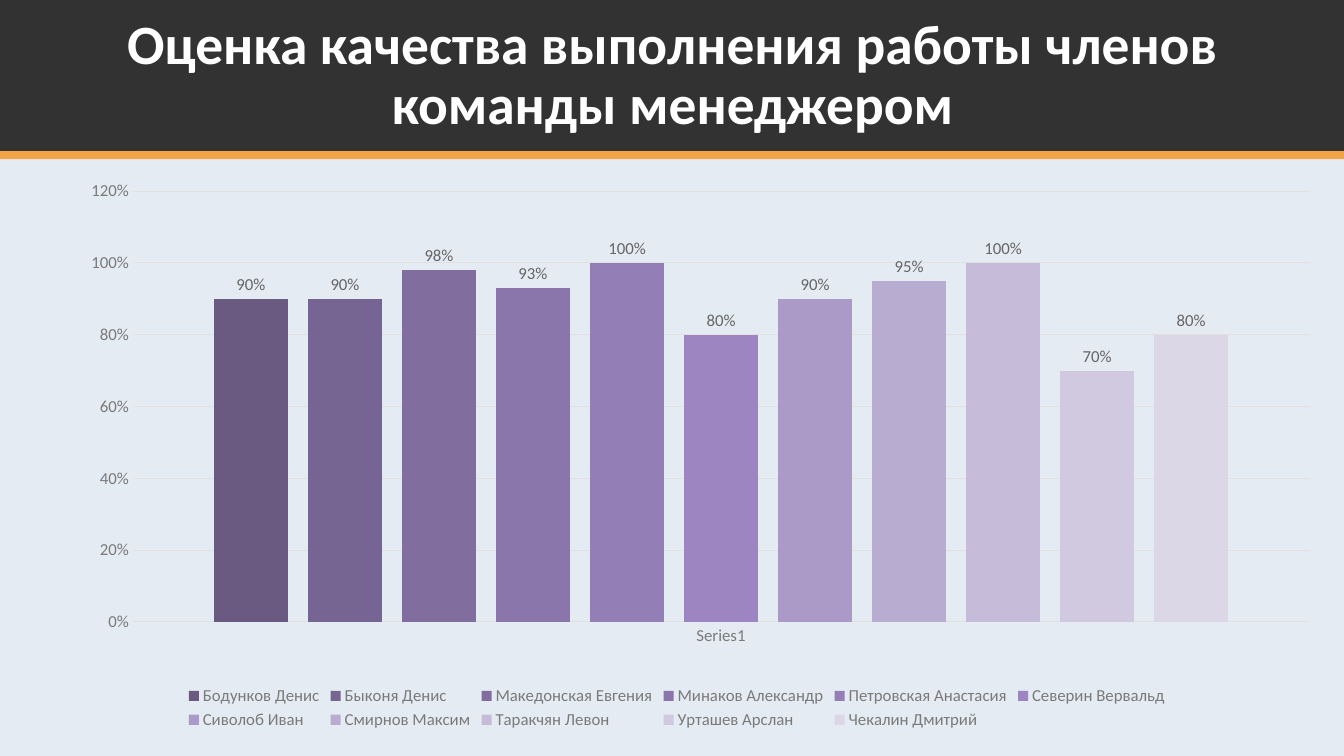
"""Build a slide charting the manager's assessment of team members' work quality."""
import pptx
import pptx.chart.data
import pptx.dml.color
import pptx.enum.chart
import pptx.enum.shapes
import pptx.enum.text
import pptx.oxml
import pptx.oxml.ns
import pptx.util

Inches = pptx.util.Inches
Pt = pptx.util.Pt
RGBColor = pptx.dml.color.RGBColor

FONT = "Calibri"
BACKGROUND = RGBColor(0xE5, 0xEB, 0xF2)
HEADER = RGBColor(0x32, 0x32, 0x32)
ACCENT = RGBColor(0xF3, 0xA4, 0x47)
WHITE = RGBColor(0xFF, 0xFF, 0xFF)
AXIS_TEXT = RGBColor(0x7A, 0x7A, 0x7A)
LABEL_TEXT = RGBColor(0x65, 0x65, 0x65)
GRID = RGBColor(0xE0, 0xE0, 0xE0)

TITLE = "Оценка качества выполнения работы членов команды менеджером"
SCORES = [
    ("Бодунков Денис", 0.9, RGBColor(0x6A, 0x5A, 0x82)),
    ("Быконя Денис", 0.9, RGBColor(0x76, 0x65, 0x92)),
    ("Македонская Евгения", 0.98, RGBColor(0x81, 0x6E, 0x9F)),
    ("Минаков Александр", 0.93, RGBColor(0x8A, 0x76, 0xAA)),
    ("Петровская Анастасия", 1, RGBColor(0x94, 0x7E, 0xB6)),
    ("Северин Вервальд", 0.8, RGBColor(0x9C, 0x85, 0xC0)),
    ("Сиволоб Иван", 0.9, RGBColor(0xAB, 0x99, 0xC8)),
    ("Смирнов Максим", 0.95, RGBColor(0xB9, 0xAC, 0xD1)),
    ("Таракчян Левон", 1, RGBColor(0xC6, 0xBC, 0xD9)),
    ("Урташев Арслан", 0.7, RGBColor(0xD1, 0xC9, 0xE0)),
    ("Чекалин Дмитрий", 0.8, RGBColor(0xDC, 0xD7, 0xE7)),
]


def style_font(font, size, color, bold=False):
    """Apply the slide's typeface with a size, colour and weight."""
    font.name = FONT
    font.size = Pt(size)
    font.bold = bold
    font.color.rgb = color


def add_band(slide, top, height, color):
    """Add a full-width band."""
    band = slide.shapes.add_shape(
        pptx.enum.shapes.MSO_SHAPE.RECTANGLE,
        Inches(0), Inches(top), Inches(13.33), Inches(height))
    band.shadow.inherit = False
    band.fill.solid()
    band.fill.fore_color.rgb = color
    band.line.fill.background()


def place_title(slide):
    """Fill the title placeholder and bring it in front of the bands."""
    title = slide.shapes.title
    title.left, title.top = Inches(0.92), Inches(0.27)
    title.width, title.height = Inches(11.5), Inches(0.97)
    frame = title.text_frame
    frame.text = TITLE
    frame.word_wrap = True
    frame.auto_size = pptx.enum.text.MSO_AUTO_SIZE.NONE
    frame.vertical_anchor = pptx.enum.text.MSO_ANCHOR.MIDDLE
    heading = frame.paragraphs[0]
    heading.alignment = pptx.enum.text.PP_ALIGN.CENTER
    heading.line_spacing = 0.9
    style_font(heading.runs[0].font, 39.6, WHITE, bold=True)
    title.element.getparent().append(title.element)


def style_axes(chart):
    """Format both axes and the gridlines."""
    for axis in (chart.category_axis, chart.value_axis):
        axis.major_tick_mark = pptx.enum.chart.XL_TICK_MARK.NONE
        axis.minor_tick_mark = pptx.enum.chart.XL_TICK_MARK.NONE
        style_font(axis.tick_labels.font, 12, AXIS_TEXT)
    scale = chart.value_axis
    scale.minimum_scale, scale.maximum_scale, scale.major_unit = 0, 1.2, 0.2
    scale.tick_labels.number_format = "0%"
    scale.tick_labels.number_format_is_linked = False
    scale.format.line.fill.background()
    scale.has_major_gridlines = True
    for line in (scale.major_gridlines.format.line,
                 chart.category_axis.format.line):
        line.color.rgb = GRID
        line.width = Pt(0.75)


def style_series(series, color):
    """Colour one member's bar and label its value."""
    series.format.fill.solid()
    series.format.fill.fore_color.rgb = color
    labels = series.data_labels
    labels.show_value = True
    labels.position = pptx.enum.chart.XL_LABEL_POSITION.OUTSIDE_END
    labels.number_format = "0%"
    labels.number_format_is_linked = False
    style_font(labels.font, 12, LABEL_TEXT)


def set_plot_layout(chart, x, y, width, height):
    """Fix the inner plot area as fractions of the chart."""
    plot_area = chart.element.find(".//" + pptx.oxml.ns.qn("c:plotArea"))
    for automatic in plot_area.findall(pptx.oxml.ns.qn("c:layout")):
        plot_area.remove(automatic)
    plot_area.insert(0, pptx.oxml.parse_xml(
        f'<c:layout {pptx.oxml.ns.nsdecls("c")}><c:manualLayout>'
        '<c:layoutTarget val="inner"/>'
        '<c:xMode val="edge"/><c:yMode val="edge"/>'
        f'<c:x val="{x}"/><c:y val="{y}"/>'
        f'<c:w val="{width}"/><c:h val="{height}"/>'
        '</c:manualLayout></c:layout>'))


def add_score_chart(slide):
    """Add the clustered column chart of scores."""
    scores = pptx.chart.data.CategoryChartData(number_format="0%")
    scores.categories = ["Series1"]
    for member, score, _ in SCORES:
        scores.add_series(member, [score])
    chart = slide.shapes.add_chart(
        pptx.enum.chart.XL_CHART_TYPE.COLUMN_CLUSTERED,
        Inches(0.44), Inches(1.73), Inches(12.55), Inches(5.55), scores).chart
    style_font(chart.font, 10, HEADER)
    chart.has_title = False
    chart.has_legend = True
    chart.legend.position = pptx.enum.chart.XL_LEGEND_POSITION.BOTTOM
    chart.legend.include_in_layout = False
    style_font(chart.legend.font, 12, AXIS_TEXT)
    columns = chart.plots[0]
    columns.gap_width, columns.overlap = 219, -27
    columns.vary_by_categories = False
    for series, (_, _, color) in zip(columns.series, SCORES):
        style_series(series, color)
    style_axes(chart)
    set_plot_layout(chart, 0.07, 0.03, 0.93, 0.77)


def main():
    """Build and save the presentation."""
    deck = pptx.Presentation()
    deck.slide_width, deck.slide_height = Inches(13.33), Inches(7.5)
    slide = deck.slides.add_slide(deck.slide_layouts[5])
    slide.background.fill.solid()
    slide.background.fill.fore_color.rgb = BACKGROUND
    add_band(slide, 0, 1.5, HEADER)
    add_band(slide, 1.5, 0.08, ACCENT)
    place_title(slide)
    add_score_chart(slide)
    deck.save("out.pptx")


if __name__ == "__main__":
    main()
